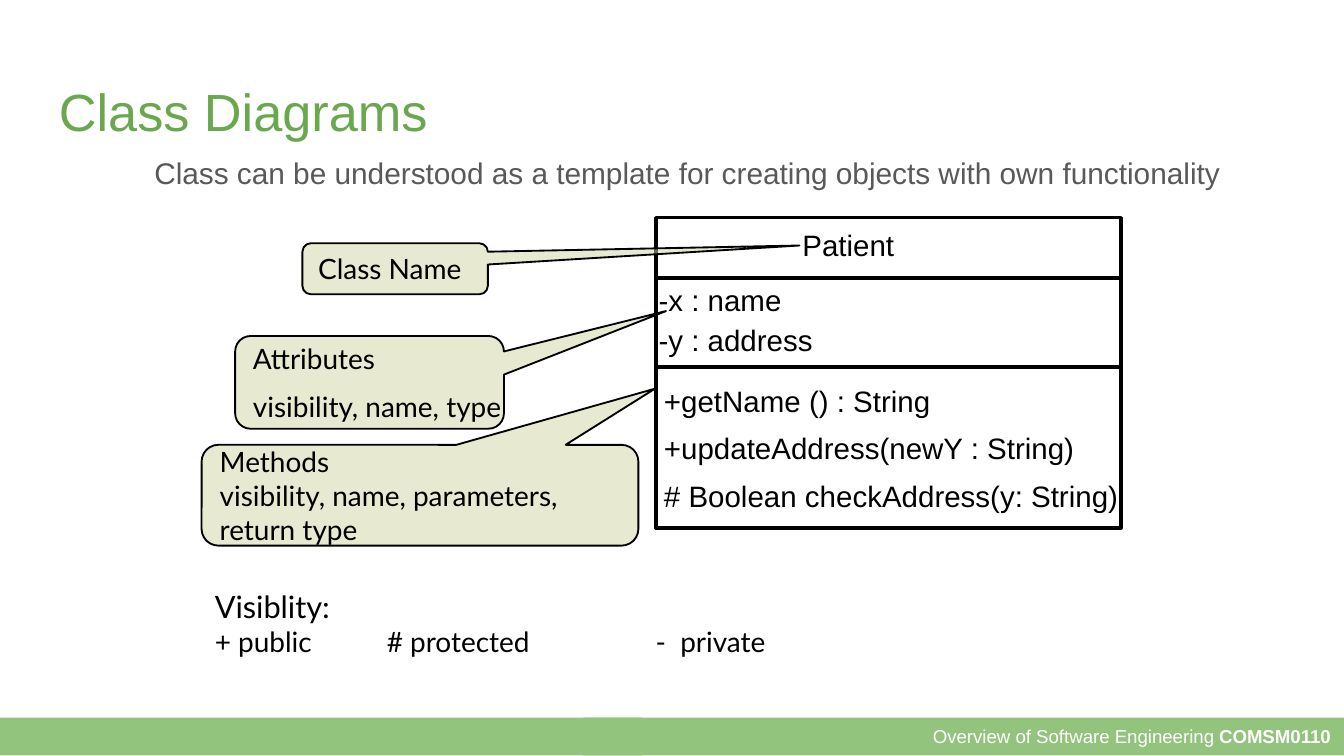
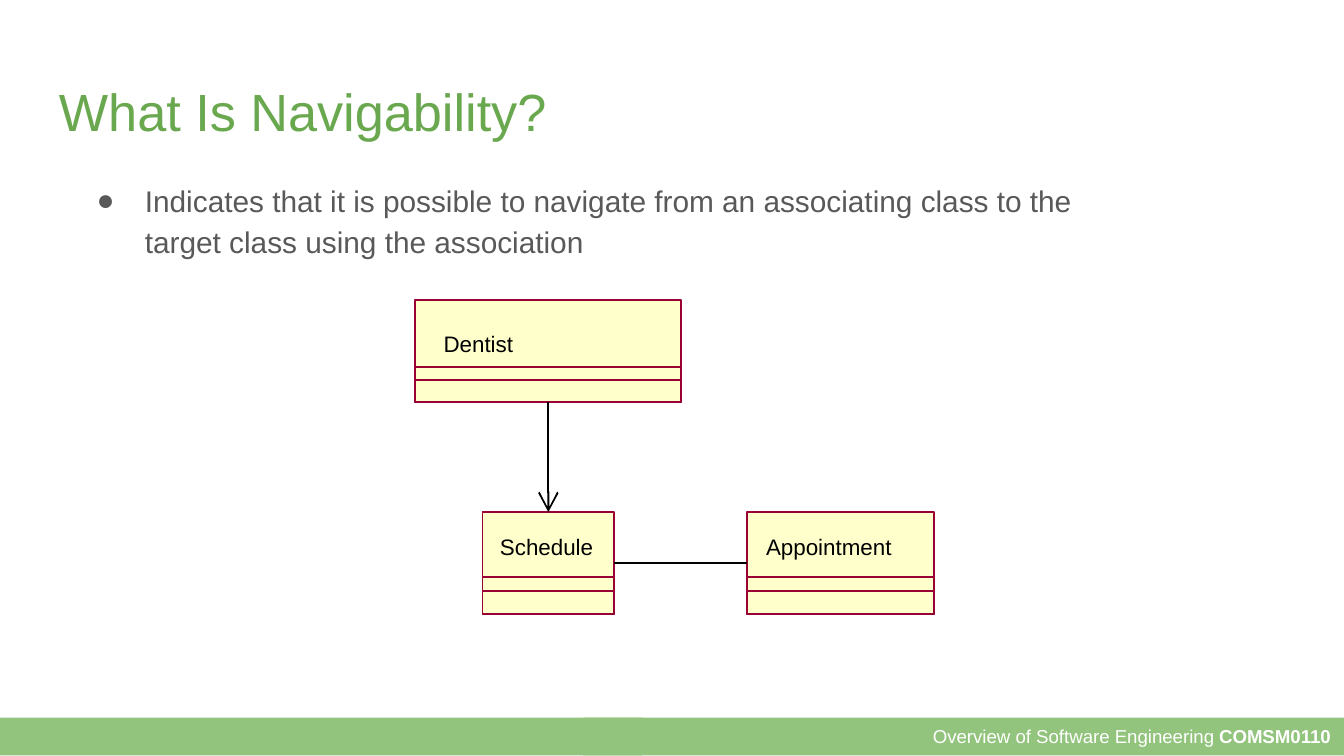
from lxml.etree import SubElement
from pptx import Presentation
from pptx.dml.color import RGBColor
from pptx.enum.shapes import MSO_CONNECTOR, MSO_SHAPE
from pptx.enum.text import MSO_ANCHOR, MSO_AUTO_SIZE, PP_ALIGN
from pptx.oxml.ns import qn
from pptx.util import Inches, Pt

GREEN = "93C47D"
TITLE_GREEN = "6AA84F"
GREY = "595959"
BLACK = "000000"
WHITE = "FFFFFF"
SAGE = "D1D6A2"
CREAM = "FFFFCC"
MAROON = "990033"
TOP, LEFT, BOTTOM, RIGHT = range(4)


def color(value):
    return RGBColor.from_string(value)


def inches(*values):
    return [Inches(value) for value in values]


class SlideBuilder:
    def __init__(self, deck):
        self.deck = deck
        self.page = None

    def new_page(self, title):
        self.page = self.deck.slides.add_slide(self.deck.slide_layouts[6])
        band = self.rectangle(4.34, 5.34, 5.66, 0.28, GREEN)
        self.rectangle(0, 5.34, 4.78, 0.28, GREEN)
        frame = band.text_frame
        self.set_insets(frame, 0.1)
        frame.vertical_anchor = MSO_ANCHOR.MIDDLE
        para = frame.paragraphs[0]
        self.style(para, 10, WHITE)
        para.alignment = PP_ALIGN.RIGHT
        para.add_run().text = "Overview of Software Engineering "
        span = para.add_run()
        span.text = "COMSM0110"
        span.font.bold = True
        self.text_box(0.34, 0.49, 9.32, 0.63, title, 28, TITLE_GREEN)

    def set_insets(self, frame, inset):
        frame.margin_left = frame.margin_right = Inches(inset)
        frame.margin_top = frame.margin_bottom = Inches(inset)

    def style(self, para, size, tint, font="Arial"):
        para.alignment = PP_ALIGN.LEFT
        para.font.size = Pt(size)
        para.font.name = font
        para.font.color.rgb = color(tint)

    def text_box(self, left, top, width, height, text, size, tint):
        box = self.page.shapes.add_textbox(*inches(left, top, width, height))
        frame = box.text_frame
        frame.word_wrap = True
        self.set_insets(frame, 0.1)
        para = frame.paragraphs[0]
        para.text = text
        self.style(para, size, tint)
        return para

    def body(self, left, top, width, height, text, bullet=None):
        para = self.text_box(left, top, width, height, text, 16, GREY)
        para.line_spacing = 1.15
        properties = para._p.get_or_add_pPr()
        properties.set("marL", str(Inches(0.5)))
        properties.set("indent", str(Inches(-0.36 if bullet else 0)))
        if bullet:
            defaults = properties.find(qn("a:defRPr"))
            tint = SubElement(properties, qn("a:buClr"))
            SubElement(tint, qn("a:srgbClr")).set("val", GREY)
            SubElement(properties, qn("a:buFont")).set("typeface", "Arial")
            SubElement(properties, qn("a:buChar")).set("char", bullet)
            properties.append(defaults)

    def label(self, left, top, width, text, size):
        height = round(size * 0.017, 2)
        box = self.page.shapes.add_textbox(*inches(left, top, width, height))
        frame = box.text_frame
        self.set_insets(frame, 0)
        frame.word_wrap = False
        frame.auto_size = MSO_AUTO_SIZE.SHAPE_TO_FIT_TEXT
        para = frame.paragraphs[0]
        para.text = text
        self.style(para, size, BLACK)

    def paint(self, shape, fill, line, weight):
        shape.shadow.inherit = False
        if fill:
            shape.fill.solid()
            shape.fill.fore_color.rgb = color(fill)
        else:
            shape.fill.background()
        if line:
            shape.line.color.rgb = color(line)
            shape.line.width = Pt(weight)
        else:
            shape.line.fill.background()

    def rectangle(self, left, top, width, height, fill=None, line=None, weight=1):
        shape = self.page.shapes.add_shape(
            MSO_SHAPE.RECTANGLE, *inches(left, top, width, height))
        self.paint(shape, fill, line, weight)
        return shape

    def callout(self, left, top, width, height, pointer, lines, space_before=0):
        shape = self.page.shapes.add_shape(
            MSO_SHAPE.ROUNDED_RECTANGULAR_CALLOUT, *inches(left, top, width, height))
        shape.adjustments[0], shape.adjustments[1] = pointer
        self.paint(shape, SAGE, BLACK, 1)
        fill = shape._element.spPr.find(qn("a:solidFill"))
        SubElement(fill[0], qn("a:alpha")).set("val", "50000")
        frame = shape.text_frame
        frame.word_wrap = False
        frame.vertical_anchor = MSO_ANCHOR.MIDDLE
        for index, text in enumerate(lines):
            para = frame.add_paragraph() if index else frame.paragraphs[0]
            para.text = text
            para.space_before = Pt(space_before)
            self.style(para, 15, BLACK, "Lato")

    def visibility_key(self):
        box = self.page.shapes.add_textbox(*inches(1.5, 4.32, 6.38, 0.65))
        frame = box.text_frame
        frame.word_wrap = True
        heading = frame.paragraphs[0]
        heading.text = "Visiblity:"
        self.style(heading, 16.5, BLACK, "Lato")
        key = frame.add_paragraph()
        key.text = "+ public \t# protected\t-  private"
        self.style(key, 15, BLACK, "Lato")
        properties = key._p.get_or_add_pPr()
        defaults = properties.find(qn("a:defRPr"))
        stops = SubElement(properties, qn("a:tabLst"))
        for position in inches(1.28, 3.28):
            stop = SubElement(stops, qn("a:tab"))
            stop.set("pos", str(position))
            stop.set("algn", "l")
        properties.append(defaults)

    def class_box(self, left, top, width, dividers, name, name_at, name_width):
        height = 0.76
        box = self.rectangle(left, top, width, height, CREAM, MAROON)
        across, down = name_at
        self.label(left + across, top + down, name_width, name, 12)
        for offset in dividers:
            self.rectangle(left, top + offset, width, height - offset, None, MAROON)
        return box

    def association(self, start, start_side, end, end_side, arrow=False):
        line = self.page.shapes.add_connector(
            MSO_CONNECTOR.STRAIGHT, *inches(0, 0, 1, 1))
        line.begin_connect(start, start_side)
        line.end_connect(end, end_side)
        line.line.color.rgb = color(BLACK)
        line.line.width = Pt(1)
        if arrow:
            outline = line._element.spPr.find(qn("a:ln"))
            head = SubElement(outline, qn("a:tailEnd"))
            head.set("type", "arrow")
            head.set("w", "lg")
            head.set("len", "lg")
        SubElement(line._element.spPr, qn("a:effectLst"))


def class_diagrams(builder):
    builder.new_page("Class Diagrams")
    builder.body(0.55, 1.01, 8.84, 3.86,
                 "Class can be understood as a template for creating objects "
                 "with own functionality")
    builder.visibility_key()
    for top, height in ((2.73, 1.2), (2.07, 0.66), (1.62, 0.45)):
        builder.rectangle(4.88, top, 3.46, height, WHITE, BLACK, 1.88)
    members = (
        (4.94, 2.85, 1.99, "+getName () : String"),
        (4.94, 3.2, 3.07, "+updateAddress(newY : String)"),
        (4.94, 3.56, 3.46, "# Boolean checkAddress(y: String)"),
        (4.9, 2.1, 0.92, "-x : name"),
        (4.9, 2.4, 1.15, "-y : address"),
        (5.97, 1.69, 0.69, "Patient"),
    )
    for member in members:
        builder.label(*member, 15.8)
    builder.callout(2.25, 1.81, 1.38, 0.38, (2.18, -0.455), ["Class Name"])
    builder.callout(1.75, 2.5, 2, 0.69, (1.103, -0.769),
                    ["Attributes", "visibility, name, type"], 8)
    builder.callout(1.5, 3.31, 3.25, 0.75, (0.538, -1.057),
                    ["Methods", "visibility, name, parameters,", "return type"])


def navigability(builder):
    builder.new_page("What Is Navigability?")
    builder.body(0.48, 1.22, 7.87, 1.31,
                 "Indicates that it is possible to navigate from an associating "
                 "class to the target class using the association", "●")
    dentist = builder.class_box(
        3.09, 2.23, 1.98, (0.5, 0.6), "Dentist", (0.21, 0.23), 0.52)
    appointment = builder.class_box(
        5.56, 3.81, 1.39, (0.48, 0.59), "Appointment", (0.14, 0.16), 0.94)
    schedule = builder.class_box(
        3.59, 3.81, 0.98, (0.48, 0.59), "Schedule", (0.13, 0.16), 0.7)
    builder.association(appointment, LEFT, schedule, RIGHT)
    builder.association(dentist, BOTTOM, schedule, TOP, arrow=True)


def main():
    deck = Presentation()
    deck.slide_width = Inches(10)
    deck.slide_height = deck.slide_width * 9 // 16
    builder = SlideBuilder(deck)
    class_diagrams(builder)
    navigability(builder)
    deck.save("out.pptx")


if __name__ == "__main__":
    main()
